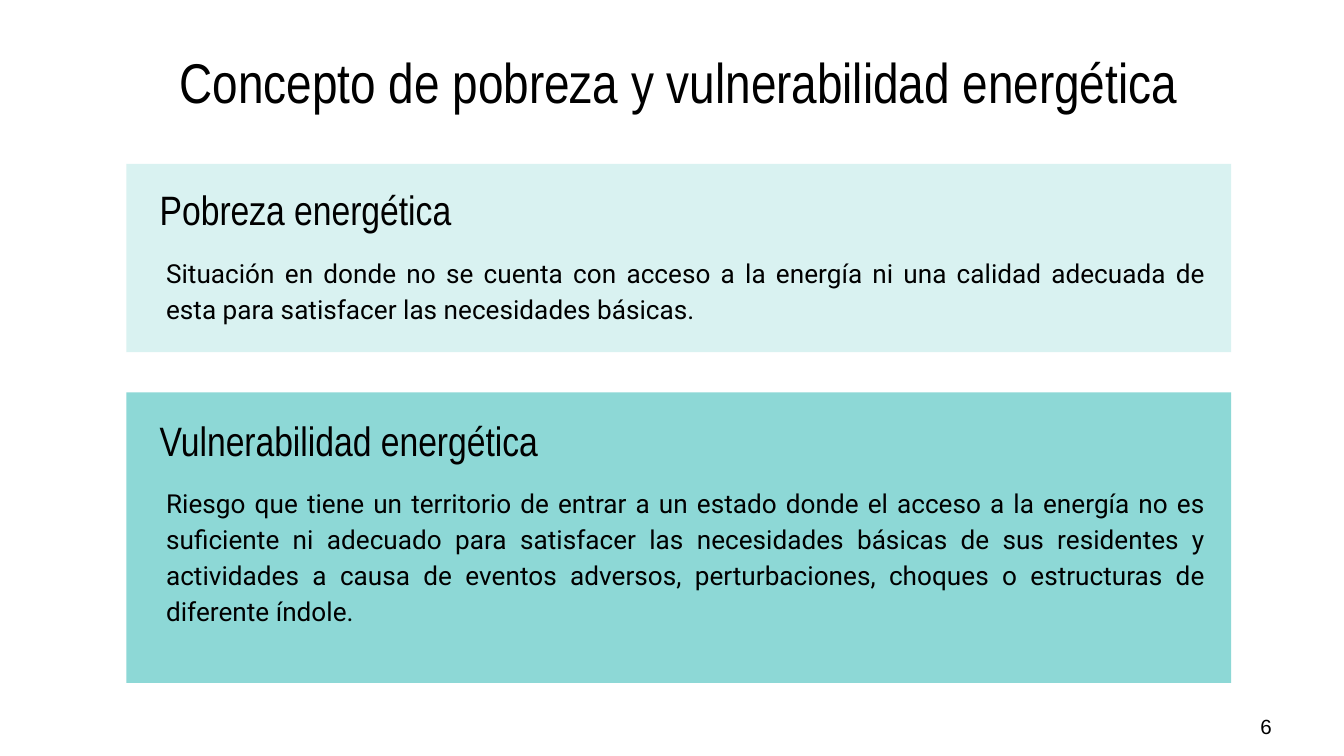
from pptx import Presentation
from pptx.dml.color import RGBColor
from pptx.enum.shapes import MSO_SHAPE
from pptx.enum.text import MSO_ANCHOR, PP_ALIGN
from pptx.util import Cm, Pt

COLORS = {"text": "000000", "poverty": "D9F2F1", "vulnerability": "8DD8D6"}
HEADING_FONT = "Arial Narrow"
INSET = 0.25
LEFT, WIDTH = 2.39, 20.88  # column shared by the title and both cards


def add_text(slide, box, wording, font, size, align=PP_ALIGN.LEFT,
             anchor=MSO_ANCHOR.MIDDLE, inset=INSET):
    """Place one paragraph in box (left, top, width, height in cm)."""
    frame = slide.shapes.add_textbox(*map(Cm, box)).text_frame
    frame.word_wrap = True
    frame.vertical_anchor = anchor
    frame.margin_left = frame.margin_right = Cm(INSET)
    frame.margin_top = frame.margin_bottom = Cm(inset)
    paragraph = frame.paragraphs[0]
    paragraph.alignment = align
    run = paragraph.add_run()
    run.text = wording
    run.font.name = font
    run.font.size = Pt(size)
    run.font.color.rgb = RGBColor.from_string(COLORS["text"])
    return paragraph


def add_title(slide, box, wording):
    add_text(slide, box, wording, HEADING_FONT, 30, PP_ALIGN.CENTER)


def add_definition(slide, box, color, term, meaning, term_offset, meaning_offset):
    """Coloured card with a term and its meaning, offset from the card top."""
    left, top, width, _ = box
    card = slide.shapes.add_shape(MSO_SHAPE.RECTANGLE, *map(Cm, box))
    card.shadow.inherit = False
    card.fill.solid()
    card.fill.fore_color.rgb = RGBColor.from_string(COLORS[color])
    card.line.fill.background()

    add_text(slide, (left + 0.38, top + term_offset, 15.47, 1.35),
             term, HEADING_FONT, 22)
    explanation = add_text(slide, (left + 0.2, top + meaning_offset, width - 0.43, 2.44),
                           meaning, "Roboto", 14, PP_ALIGN.JUSTIFY, MSO_ANCHOR.TOP)
    explanation.line_spacing = 1.15
    indent = explanation._p.get_or_add_pPr()
    indent.set("marL", str(Cm(0.3)))
    indent.set("indent", "0")


def add_page_number(slide, box, number):
    add_text(slide, box, number, "Arial", 11, anchor=MSO_ANCHOR.TOP, inset=0.13)


def main():
    presentation = Presentation()
    presentation.slide_width, presentation.slide_height = Cm(25.4), Cm(14.29)
    slide = presentation.slides.add_slide(presentation.slide_layouts[6])

    # Title
    add_title(slide, (LEFT, 1.02, WIDTH, 1.04),
              "Concepto de pobreza y vulnerabilidad energética")

    # Definitions
    add_definition(
        slide, (LEFT, 3.1, WIDTH, 3.56), "poverty", "Pobreza energética",
        "Situación en donde no se cuenta con acceso a la energía ni una calidad "
        "adecuada de esta para satisfacer las necesidades básicas.",
        0.18, 1.42)
    add_definition(
        slide, (LEFT, 7.42, WIDTH, 5.49), "vulnerability", "Vulnerabilidad energética",
        "Riesgo que tiene un territorio de entrar a un estado donde el acceso a la "
        "energía no es suficiente ni adecuado para satisfacer las necesidades básicas "
        "de sus residentes y actividades a causa de eventos adversos, perturbaciones, "
        "choques o estructuras de diferente índole.",
        0.23, 1.45)

    # Page number
    add_page_number(slide, (23.57, 13.36, 1.52, 1.09), "6")

    presentation.save("out.pptx")


if __name__ == "__main__":
    main()
